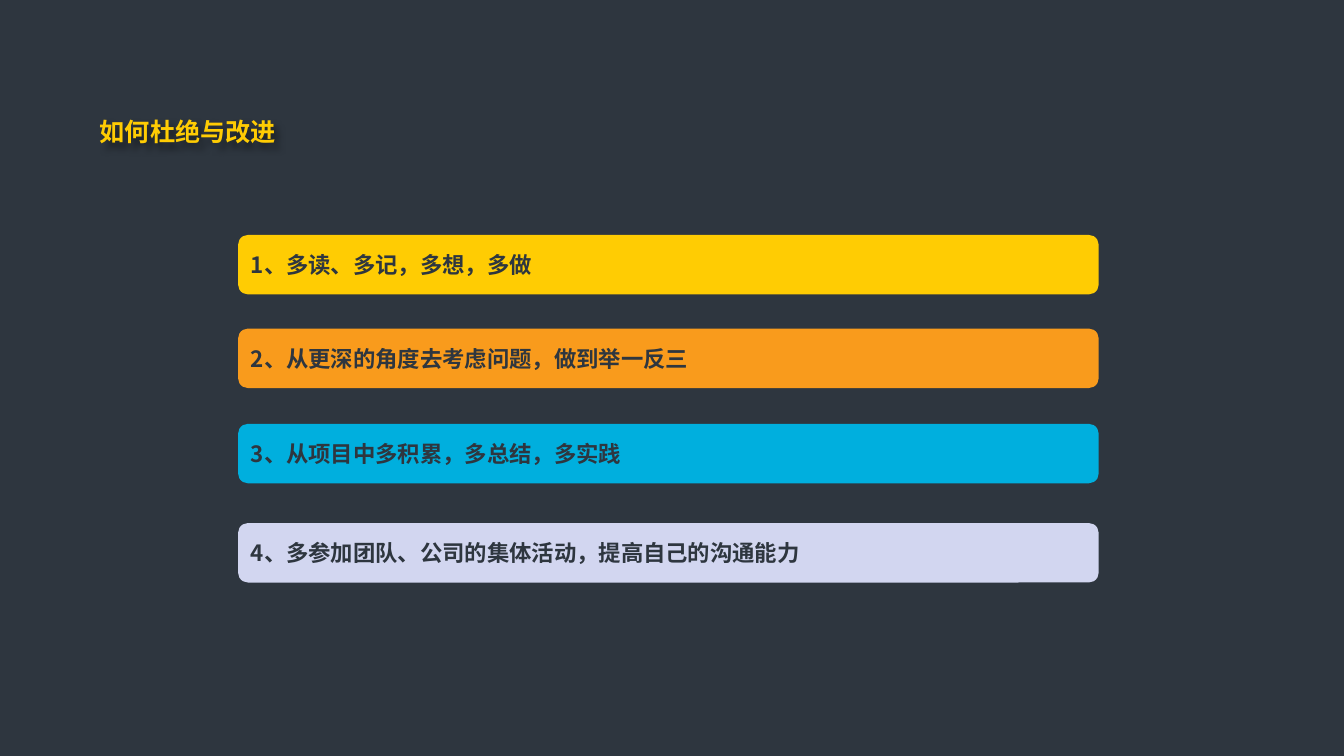
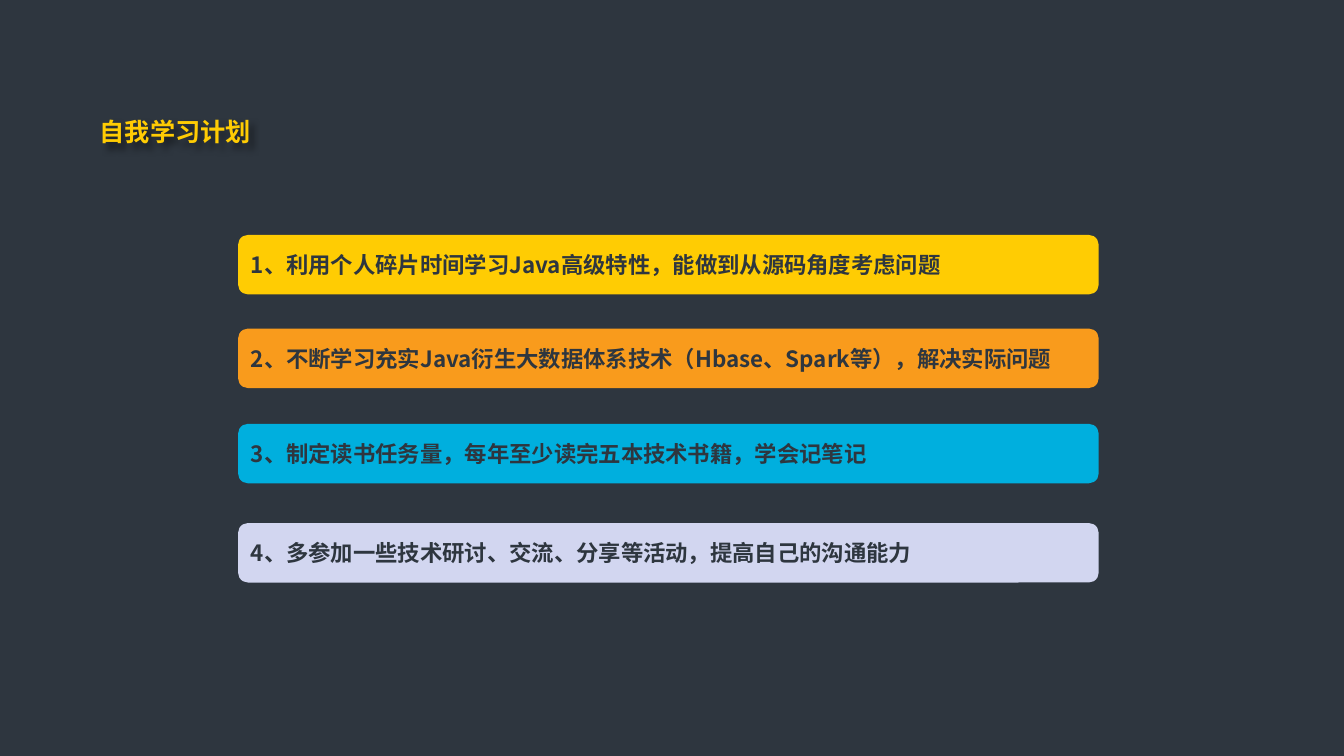
"""Build two slides, each a heading above four coloured bars."""
from dataclasses import dataclass

from lxml import etree
from pptx import Presentation
from pptx.dml.color import RGBColor
from pptx.enum import shapes, text
from pptx.oxml import ns
from pptx.util import Cm, Pt

SLIDES = [
    ("如何杜绝与改进", [
        "1、多读、多记，多想，多做",
        "2、从更深的角度去考虑问题，做到举一反三",
        "3、从项目中多积累，多总结，多实践",
        "4、多参加团队、公司的集体活动，提高自己的沟通能力",
    ]),
    ("自我学习计划", [
        "1、利用个人碎片时间学习Java高级特性，能做到从源码角度考虑问题",
        "2、不断学习充实Java衍生大数据体系技术（Hbase、Spark等），解决实际问题",
        "3、制定读书任务量，每年至少读完五本技术书籍，学会记笔记",
        "4、多参加一些技术研讨、交流、分享等活动，提高自己的沟通能力",
    ]),
]


@dataclass(frozen=True)
class Theme:
    font: str = "Noto Sans CJK SC"
    dark: str = "2E363F"
    accent: str = "FFCC03"
    bars: tuple = ("FFCC03", "F99B1C", "00AFDE", "D2D6F0")
    title_size: int = 18
    bar_size: int = 16


THEME = Theme()
TITLE_BOX = (Cm(2.26), Cm(2.9), Cm(29.29), Cm(0.84))
BAR_LEFT, BAR_WIDTH, BAR_HEIGHT = Cm(6), Cm(21.69), Cm(1.5)
BAR_TOPS = (Cm(5.92), Cm(8.28), Cm(10.68), Cm(13.18))


def paint(fill, color):
    fill.solid()
    fill.fore_color.rgb = RGBColor.from_string(color)


def write(sp, content, size, color, anchor):
    tf = sp.text_frame
    tf.text = content
    tf.word_wrap = True
    tf.auto_size = text.MSO_AUTO_SIZE.NONE
    tf.vertical_anchor = anchor
    p = tf.paragraphs[0]
    p.alignment = text.PP_ALIGN.LEFT
    r = p.runs[0]
    r.font.name, r.font.size, r.font.bold = THEME.font, Pt(size), True
    r.font.color.rgb = RGBColor.from_string(color)
    ea = etree.SubElement(r.font._element, ns.qn("a:ea"))
    ea.set("typeface", THEME.font)
    return p


def add_shadow(sp):
    effects = etree.SubElement(sp._element.spPr, ns.qn("a:effectLst"))
    shadow = etree.SubElement(effects, ns.qn("a:outerShdw"), blurRad="50800",
                              dist="50800", dir="2700000", algn="tl")
    color = etree.SubElement(shadow, ns.qn("a:srgbClr"), val="000000")
    etree.SubElement(color, ns.qn("a:alpha"), val="40000")


def add_title(s, content):
    sp = s.shapes.title
    sp.left, sp.top, sp.width, sp.height = TITLE_BOX
    p = write(sp, content, THEME.title_size, THEME.accent, text.MSO_ANCHOR.TOP)
    p.line_spacing, p.space_before = 0.9, Pt(10)
    add_shadow(sp)


def add_bar(s, content, top, color):
    sp = s.shapes.add_shape(shapes.MSO_SHAPE.ROUNDED_RECTANGLE,
                            BAR_LEFT, top, BAR_WIDTH, BAR_HEIGHT)
    sp.shadow.inherit = False
    paint(sp.fill, color)
    sp.line.fill.background()
    write(sp, content, THEME.bar_size, THEME.dark, text.MSO_ANCHOR.MIDDLE)


prs = Presentation()
prs.slide_width, prs.slide_height = Cm(33.87), Cm(19.05)
paint(prs.slide_master.background.fill, THEME.dark)
title_only = prs.slide_layouts.get_by_name("Title Only")

for title, points in SLIDES:
    s = prs.slides.add_slide(title_only)
    add_title(s, title)
    for point, top, color in zip(points, BAR_TOPS, THEME.bars):
        add_bar(s, point, top, color)

prs.save("out.pptx")
